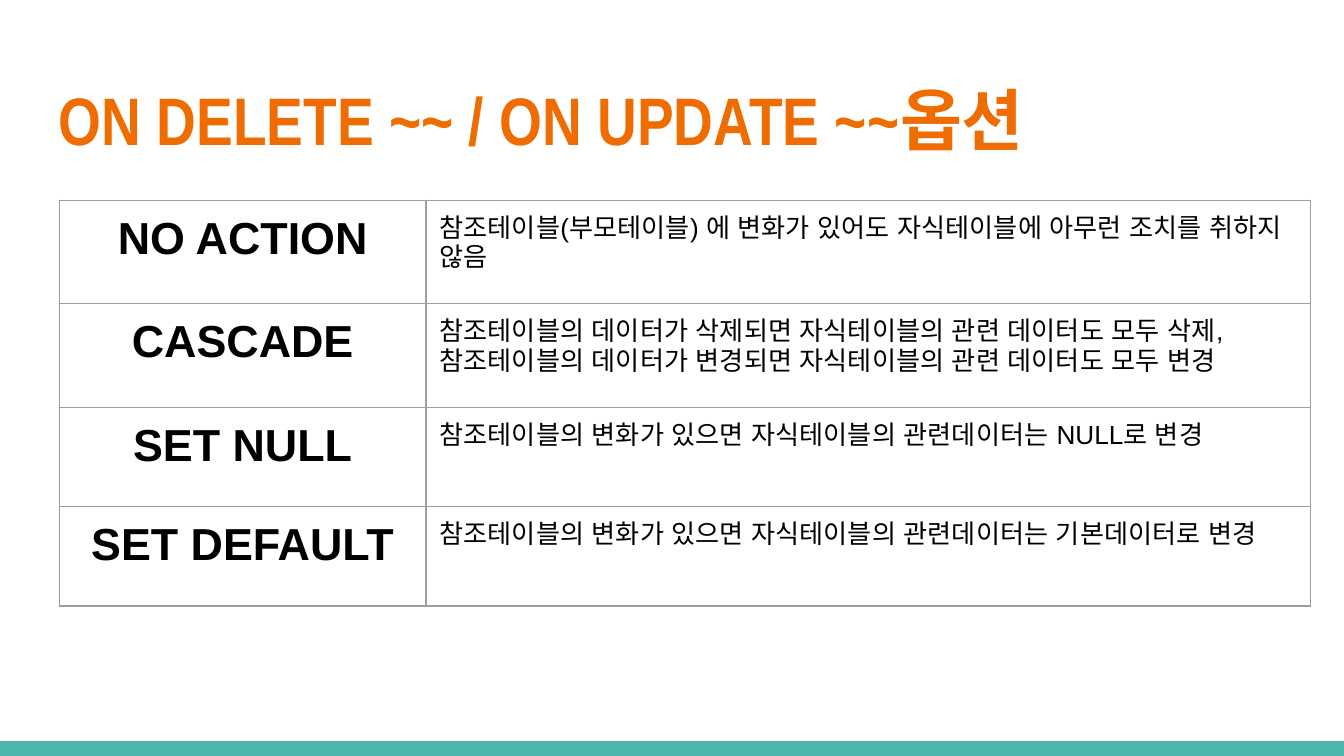
from lxml.etree import SubElement
from pptx import Presentation
from pptx.dml.color import RGBColor
from pptx.enum.shapes import MSO_SHAPE
from pptx.enum.text import MSO_ANCHOR as ANCHOR, PP_ALIGN as ALIGN
from pptx.oxml import parse_xml
from pptx.oxml.ns import nsdecls, qn
from pptx.util import Inches, Pt

TITLE = "ON DELETE ~~ / ON UPDATE ~~옵션"
OPTIONS = [
    ("NO ACTION", "참조테이블(부모테이블) 에 변화가 있어도 자식테이블에 아무런 조치를 취하지 않음"),
    ("CASCADE", "참조테이블의 데이터가 삭제되면 자식테이블의 관련 데이터도 모두 삭제,\n"
                "참조테이블의 데이터가 변경되면 자식테이블의 관련 데이터도 모두 변경"),
    ("SET NULL", "참조테이블의 변화가 있으면 자식테이블의 관련데이터는 NULL로 변경"),
    ("SET DEFAULT", "참조테이블의 변화가 있으면 자식테이블의 관련데이터는 기본데이터로 변경"),
]
THEME = {
    "title": "EF6C00", "text": "000000", "bar": "4DB6AC", "border": "9E9E9E",
    "title_font": "Arial Narrow", "font": "Arial",
    "title_size": 36, "option_size": 24, "body_size": 14, "border_width": 0.75,
}
WIDTH = Inches(10)
HEIGHT = WIDTH * 9 // 16
BAR_HEIGHT = Inches(0.11)
COLUMNS = (2.73, 6.58)
ROWS = (0.77, 0.77, 0.74, 0.74)
INSET = Inches(0.1)


def write(tf, text, size, font=THEME["font"], color=THEME["text"],
          bold=False, align=ALIGN.LEFT):
    tf.word_wrap = True
    p = tf.paragraphs[0]
    p.text = text
    p.alignment = align
    for r in p.runs:
        r.font.name = font
        r.font.size = Pt(size)
        r.font.bold = bold
        r.font.color.rgb = RGBColor.from_string(color)
        for script in ("a:ea", "a:cs"):
            SubElement(r._r.get_or_add_rPr(), qn(script), typeface=font)


def set_insets(box):
    box.margin_left = box.margin_right = INSET
    box.margin_top = box.margin_bottom = INSET


def set_borders(cell):
    tcPr = cell._tc.get_or_add_tcPr()
    for i, side in enumerate(("lnL", "lnR", "lnT", "lnB")):
        tcPr.insert(i, parse_xml(
            f'<a:{side} {nsdecls("a")} w="{Pt(THEME["border_width"])}"><a:solidFill>'
            f'<a:srgbClr val="{THEME["border"]}"/></a:solidFill></a:{side}>'))


def add_bar(s):
    sp = s.shapes.add_shape(MSO_SHAPE.RECTANGLE, 0, HEIGHT - BAR_HEIGHT,
                            WIDTH, BAR_HEIGHT)
    sp.shadow.inherit = False
    sp.fill.solid()
    sp.fill.fore_color.rgb = RGBColor.from_string(THEME["bar"])
    sp.line.fill.background()


def add_title(s):
    tf = s.shapes.add_textbox(Inches(0.34), Inches(0.5),
                              Inches(9.32), Inches(0.77)).text_frame
    set_insets(tf)
    tf.vertical_anchor = ANCHOR.MIDDLE
    write(tf, TITLE, THEME["title_size"], font=THEME["title_font"],
          color=THEME["title"], bold=True)


def add_options(s):
    table = s.shapes.add_table(
        len(ROWS), len(COLUMNS), Inches(0.44), Inches(1.49),
        Inches(sum(COLUMNS)), Inches(sum(ROWS))).table
    table.first_row = table.horz_banding = False
    for column, width in zip(table.columns, COLUMNS):
        column.width = Inches(width)
    for row, height, (option, meaning) in zip(table.rows, ROWS, OPTIONS):
        row.height = Inches(height)
        for cell in row.cells:
            set_insets(cell)
            cell.fill.background()
            set_borders(cell)
        write(row.cells[0].text_frame, option, THEME["option_size"],
              bold=True, align=ALIGN.CENTER)
        write(row.cells[1].text_frame, meaning, THEME["body_size"])


def main():
    prs = Presentation()
    prs.slide_width, prs.slide_height = WIDTH, HEIGHT
    s = prs.slides.add_slide(prs.slide_layouts[6])
    add_bar(s)
    add_title(s)
    add_options(s)
    prs.save("out.pptx")


if __name__ == "__main__":
    main()
